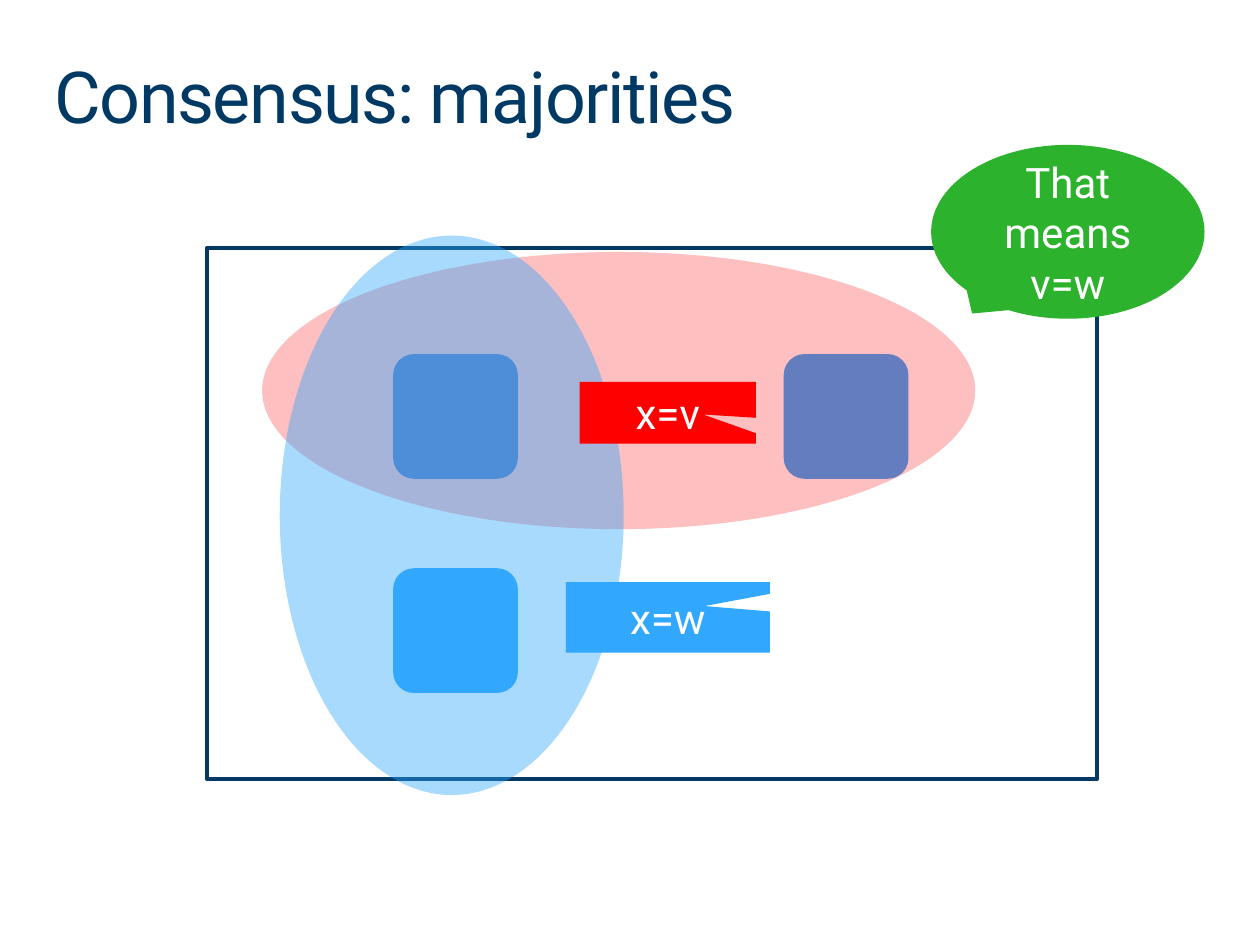
from lxml.etree import SubElement
from pptx import Presentation
from pptx.dml.color import RGBColor
from pptx.enum.shapes import MSO_SHAPE
from pptx.enum.text import MSO_ANCHOR, PP_ALIGN
from pptx.oxml.ns import qn
from pptx.util import Inches, Pt

COLORS = {
    "navy": "003963",
    "blue": "31A7FE",
    "quorum": "FC0006",
    "red": "FF0000",
    "green": "2DB22D",
    "white": "FFFFFF",
}
FONT = "Roboto"
NODE_SIZE = 0.99
LEFT, RIGHT = 3.12, 6.22
TOP, BOTTOM = 2.81, 4.51


def rgb(name):
    return RGBColor.from_string(COLORS[name])


def set_text(s, text, size=24, color="white", align=PP_ALIGN.CENTER,
             anchor=MSO_ANCHOR.MIDDLE, inset=0.05, line_spacing=None, tracking=None):
    tf = s.text_frame
    tf.word_wrap = True
    tf.vertical_anchor = anchor
    tf.margin_left = tf.margin_right = tf.margin_top = tf.margin_bottom = Inches(inset)
    p = tf.paragraphs[0]
    p.alignment = align
    p.line_spacing = line_spacing
    r = p.add_run()
    r.text = text
    r.font.name = FONT
    r.font.size = Pt(size)
    r.font.color.rgb = rgb(color)
    if tracking is not None:
        r._r.get_or_add_rPr().set("spc", str(round(tracking * 100)))


def add_title(sp, text):
    s = sp.add_textbox(Inches(0.43), Inches(0.49), Inches(9.15), Inches(0.63))
    set_text(s, text, size=41, color="navy", align=PP_ALIGN.LEFT,
             anchor=MSO_ANCHOR.TOP, inset=0, line_spacing=0.9, tracking=-0.8)


def add_shape(sp, kind, box, fill=None, line=None, alpha=None):
    s = sp.add_shape(kind, *map(Inches, box))
    s.shadow.inherit = False
    if fill:
        s.fill.solid()
        s.fill.fore_color.rgb = rgb(fill)
    else:
        s.fill.background()
    if line:
        s.line.color.rgb = rgb(line)
        s.line.width = Pt(2.25)
    else:
        s.line.fill.background()
    if alpha is not None:
        clr = s._element.spPr.find(qn("a:solidFill")).find(qn("a:srgbClr"))
        SubElement(clr, qn("a:alpha")).set("val", str(alpha * 1000))
    return s


def add_node(sp, left, top):
    add_shape(sp, MSO_SHAPE.ROUNDED_RECTANGLE, (left, top, NODE_SIZE, NODE_SIZE), "blue")


def add_quorum(sp, box, fill, alpha, rotation):
    s = add_shape(sp, MSO_SHAPE.OVAL, box, fill, alpha=alpha)
    s.rotation = rotation


def add_callout(sp, kind, box, fill, tip, text):
    s = add_shape(sp, kind, box, fill)
    s.adjustments[0], s.adjustments[1] = tip
    set_text(s, text)


def main():
    prs = Presentation()
    prs.slide_width, prs.slide_height = Inches(10), Inches(7.5)
    sp = prs.slides.add_slide(prs.slide_layouts[6]).shapes

    add_title(sp, "Consensus: majorities")
    add_shape(sp, MSO_SHAPE.RECTANGLE, (1.64, 1.97, 7.07, 4.21), line="navy")
    for left, top in ((LEFT, TOP), (LEFT, BOTTOM), (RIGHT, TOP)):
        add_node(sp, left, top)

    add_quorum(sp, (3.81, 0.27, 2.2, 5.66), "quorum", 25, 90)
    add_quorum(sp, (2.22, 1.87, 2.73, 4.44), "blue", 42, 180)

    rect, oval = MSO_SHAPE.RECTANGULAR_CALLOUT, MSO_SHAPE.OVAL_CALLOUT
    add_callout(sp, rect, (4.6, 3.03, 1.4, 0.49), "red", (0.2, 0.03), "x=v")
    add_callout(sp, rect, (4.49, 4.62, 1.62, 0.56), "blue", (0.18, -0.16), "x=w")
    add_callout(sp, oval, (7.39, 1.15, 2.17, 1.38), "green", (-0.35, 0.47), "That means v=w")

    prs.save("out.pptx")


if __name__ == "__main__":
    main()
